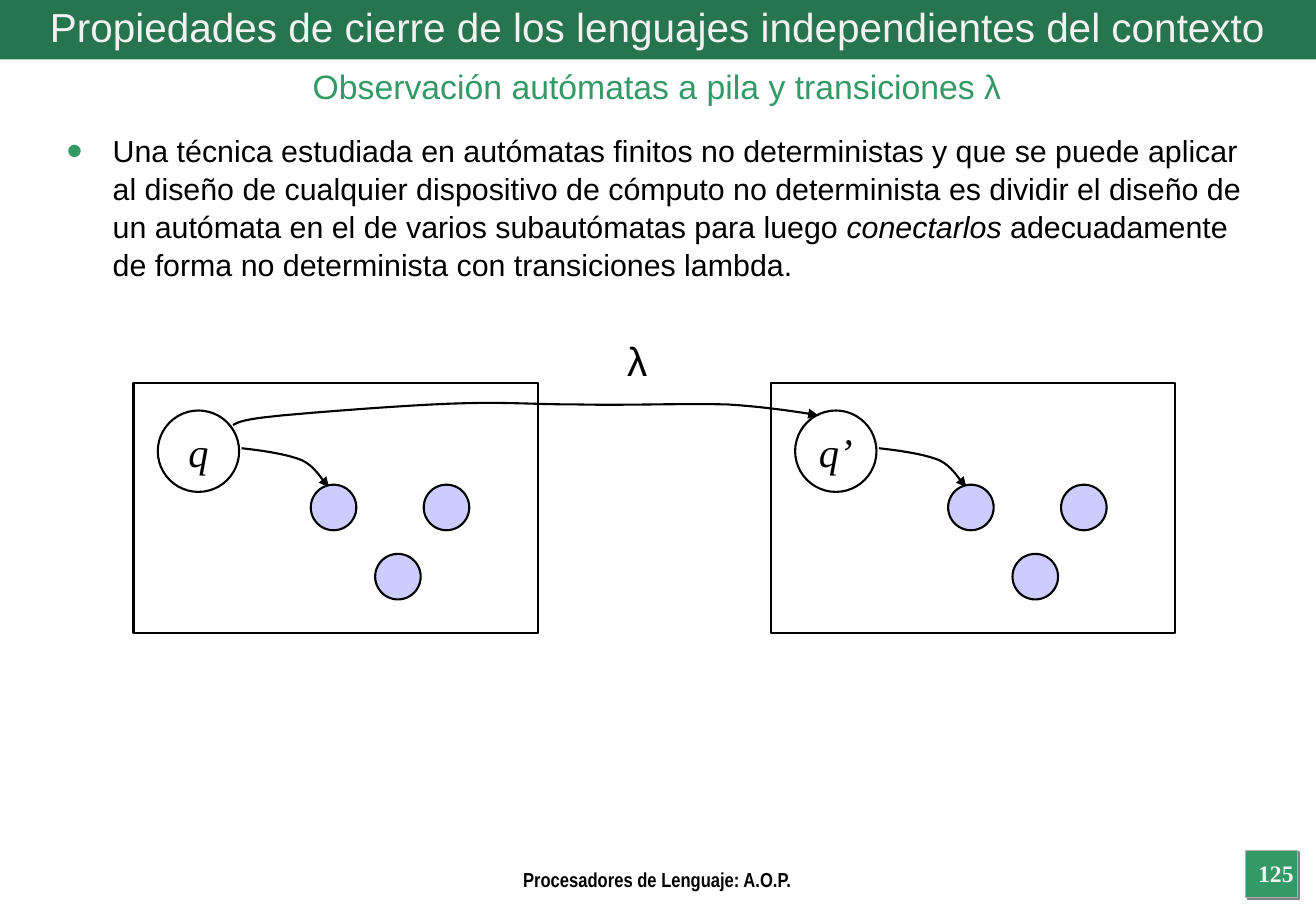
from lxml.etree import SubElement
from pptx import Presentation
from pptx.dml.color import RGBColor
from pptx.enum.shapes import MSO_SHAPE as Preset
from pptx.enum.text import MSO_ANCHOR as Anchor, PP_ALIGN as Align
from pptx.oxml.ns import qn
from pptx.util import Inches, Pt

COLORS = {"green": "339966", "dark green": "27754E", "gray": "B2B2B2",
          "shadow": "808080", "pale": "F2F2F2", "black": "000000", "lilac": "CCCCFF"}
TITLE = "Propiedades de cierre de los lenguajes independientes del contexto"
SUBTITLE = "Observación autómatas a pila y transiciones λ"
BODY = [
    ("Una técnica estudiada en autómatas finitos no deterministas y que se puede aplicar "
     "al diseño de cualquier dispositivo de cómputo no determinista es dividir el diseño de "
     "un autómata en el de varios subautómatas para luego ", False),
    ("conectarlos", True),
    (" adecuadamente de forma no determinista con transiciones lambda.", False),
]
FOOTER = "Procesadores de Lenguaje: A.O.P."
PAGE_NUMBER = "125"

AUTOMATA = [("q", 1.1), ("q’", 6.35)]
FRAME_TOP, FRAME_WIDTH, FRAME_HEIGHT = 3.15, 3.33, 2.06
STATE_OFFSET, STATE_SIZE = (0.2, 0.23), 0.67
INNER_OFFSETS, INNER_SIZE = [(1.46, 0.84), (2.39, 0.84), (1.99, 1.41)], 0.375
INNER_ARROW = [(0.89, 0.54), (1.07, 0.56), (1.27, 0.59), (1.39, 0.64),
               (1.51, 0.7), (1.56, 0.82), (1.61, 0.86)]
LAMBDA_ARROW = [(1.92, 3.5), (1.97, 3.47), (2.02, 3.45), (2.33, 3.42),
                (2.65, 3.39), (3.42, 3.33), (3.82, 3.32),
                (4.22, 3.31), (4.39, 3.33), (4.75, 3.33),
                (5.11, 3.34), (5.65, 3.32), (5.99, 3.33),
                (6.32, 3.35), (6.63, 3.4), (6.74, 3.42)]
CURVE_STEPS = 10


def color(name):
    """Return the named colour."""
    return RGBColor.from_string(COLORS[name])


def write(shape, text, size=18, font="Arial", ink="black", bold=False, italic=False,
          align=Align.CENTER, anchor=Anchor.TOP, wrap=True, margins=(0.1, 0.05)):
    """Fill a shape with one paragraph, given as a string or (text, italic) pairs."""
    frame = shape.text_frame
    frame.word_wrap = wrap
    frame.vertical_anchor = anchor
    frame.margin_left = frame.margin_right = Inches(margins[0])
    frame.margin_top = frame.margin_bottom = Inches(margins[1])
    para = frame.paragraphs[0]
    para.alignment = align
    for words, slanted in [(text, italic)] if isinstance(text, str) else text:
        span = para.add_run()
        span.text = words
        span.font.name, span.font.size = font, Pt(size)
        span.font.bold, span.font.italic = bold, slanted
        span.font.color.rgb = color(ink)
    return para


def add_text(page, at, text, **style):
    """Add a text box and return its paragraph."""
    return write(page.shapes.add_textbox(*map(Inches, at)), text, **style)


def paint(shape, fill=None, line="black", weight=1.25):
    """Set fill and outline and drop the theme shadow."""
    shape.shadow.inherit = False
    if fill:
        shape.fill.solid()
        shape.fill.fore_color.rgb = color(fill)
    else:
        shape.fill.background()
    if line:
        shape.line.color.rgb = color(line)
        shape.line.width = Pt(weight)
    else:
        shape.line.fill.background()
    return shape


def add_preset(page, preset, at, **style):
    """Add a painted preset shape."""
    return paint(page.shapes.add_shape(preset, *map(Inches, at)), **style)


def add_curved_arrow(page, controls):
    """Draw an arrow along a chain of cubic curves."""
    points = []
    for first in range(0, len(controls) - 1, 3):
        a, b, c, d = controls[first:first + 4]
        for step in range(1, CURVE_STEPS + 1):
            t = step / CURVE_STEPS
            weights = ((1 - t) ** 3, 3 * t * (1 - t) ** 2, 3 * t * t * (1 - t), t ** 3)
            points.append(tuple(
                Inches(sum(w * p[axis] for w, p in zip(weights, (a, b, c, d))))
                for axis in (0, 1)))
    builder = page.shapes.build_freeform(*map(Inches, controls[0]))
    builder.add_line_segments(points, close=False)
    arrow = paint(builder.convert_to_shape())
    SubElement(arrow.line._get_or_add_ln(), qn("a:tailEnd"), type="triangle")


def add_bullet(para):
    """Give a paragraph a hanging green bullet."""
    props = para._p.get_or_add_pPr()
    props.set("marL", str(Inches(0.38)))
    props.set("indent", str(-Inches(0.38)))
    tint = SubElement(props, qn("a:buClr"))
    SubElement(tint, qn("a:srgbClr"), val=COLORS["green"])
    SubElement(props, qn("a:buSzPct"), val="150000")
    SubElement(props, qn("a:buFont"), typeface="Arial")
    SubElement(props, qn("a:buChar"), char="•")


def add_badge(page):
    """Draw the page number square with its small shadow."""
    badge = add_preset(page, Preset.RECTANGLE, (10.26, 7, 0.43, 0.39),
                       fill="green", line="gray", weight=0.75)
    effects = badge._element.spPr.find(qn("a:effectLst"))
    shadow = SubElement(effects, qn("a:outerShdw"), dist=str(Pt(1.4)), dir="2700000")
    SubElement(shadow, qn("a:srgbClr"), val=COLORS["shadow"])
    add_text(page, (10.24, 7.02, 0.54, 0.35), PAGE_NUMBER, size=14,
             font="Times New Roman", ink="pale", bold=True)


def add_automaton(page, name, left):
    """Draw one framed automaton with its start state and inner states."""
    def place(offset):
        """Move an offset into the frame."""
        return left + offset[0], FRAME_TOP + offset[1]

    add_preset(page, Preset.RECTANGLE, (left, FRAME_TOP, FRAME_WIDTH, FRAME_HEIGHT))
    state = add_preset(page, Preset.OVAL, (*place(STATE_OFFSET), STATE_SIZE, STATE_SIZE))
    write(state, name, size=24, font="Times New Roman", italic=True,
          anchor=Anchor.MIDDLE, wrap=False, margins=(0, 0))
    add_curved_arrow(page, [place(point) for point in INNER_ARROW])
    for offset in INNER_OFFSETS:
        add_preset(page, Preset.OVAL, (*place(offset), INNER_SIZE, INNER_SIZE), fill="lilac")


def main():
    """Build the slide and save it."""
    deck = Presentation()
    deck.slide_width, deck.slide_height = Inches(10.84), Inches(7.5)
    page = deck.slides.add_slide(deck.slide_layouts[6])

    add_preset(page, Preset.RECTANGLE, (0, 0, 10.84, 0.49), fill="dark green", line=None)
    add_text(page, (0, 0, 10.83, 0.44), TITLE, size=24, ink="pale", anchor=Anchor.MIDDLE)
    add_text(page, (0, 0.49, 10.83, 0.44), SUBTITLE, size=20, ink="green")
    body = add_text(page, (0.45, 1.03, 9.96, 1.4), BODY, align=Align.LEFT)
    add_bullet(body)
    body.line_spacing = 1.04

    for name, left in AUTOMATA:
        add_automaton(page, name, left)
    add_curved_arrow(page, LAMBDA_ARROW)
    add_text(page, (5.06, 2.72, 0.38, 0.5), "λ", size=24, wrap=False)

    add_text(page, (3.01, 7.09, 4.81, 0.18), FOOTER, size=12, font="Arial Narrow", bold=True)
    add_badge(page)
    deck.save("out.pptx")


if __name__ == "__main__":
    main()
